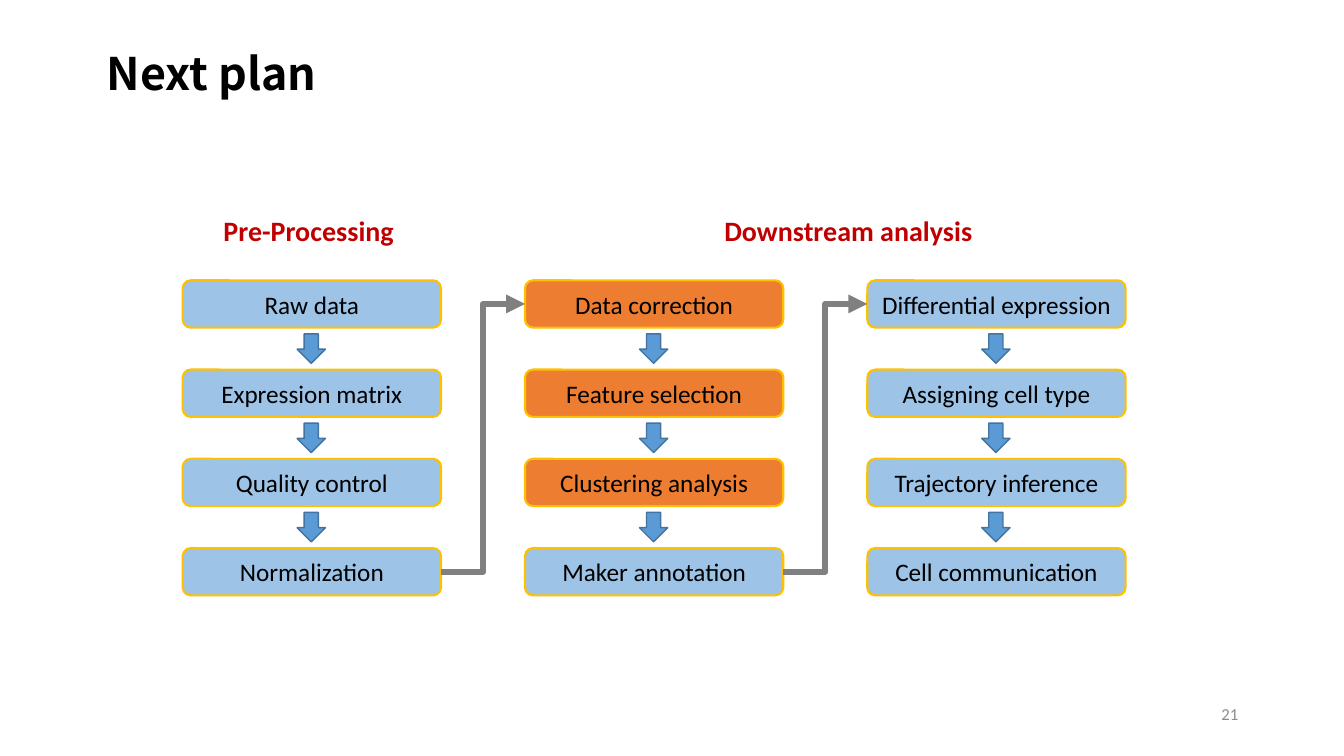
from lxml import etree
from pptx import Presentation
from pptx.dml.color import RGBColor
from pptx.enum.shapes import MSO_CONNECTOR, MSO_SHAPE
from pptx.enum.text import MSO_ANCHOR, MSO_AUTO_SIZE, PP_ALIGN
from pptx.oxml.ns import qn
from pptx.util import Pt

PX = 9525
BLACK = RGBColor(0x00, 0x00, 0x00)
GREY = RGBColor(0x80, 0x80, 0x80)
PALE_GREY = RGBColor(0x8C, 0x8C, 0x8C)
RED = RGBColor(0xC0, 0x00, 0x00)
LIGHT_BLUE = RGBColor(0x9D, 0xC3, 0xE6)
ORANGE = RGBColor(0xED, 0x7D, 0x31)
GOLD = RGBColor(0xFF, 0xC0, 0x00)
BLUE = RGBColor(0x5B, 0x9B, 0xD5)
DARK_BLUE = RGBColor(0x43, 0x73, 0x9E)

LEFT, TOP = 174, 267
COL_STEP, ROW_STEP = 326, 85
BOX_W, BOX_H = 246, 45
ARROW_W, ARROW_H = 27, 28
COLUMNS = [
    ["Raw data", "Expression matrix", "Quality control", "Normalization"],
    ["Data correction", "Feature selection", "Clustering analysis", "Maker annotation"],
    ["Differential expression", "Assigning cell type", "Trajectory inference", "Cell communication"],
]
HIGHLIGHTED = COLUMNS[1][:3]


def px(*lengths):
    return [n * PX for n in lengths]


def write(sp, text, size=18, color=BLACK, bold=False, font="Calibri", align=PP_ALIGN.CENTER):
    tf = sp.text_frame
    tf.word_wrap = True
    tf.auto_size = MSO_AUTO_SIZE.NONE
    tf.vertical_anchor = MSO_ANCHOR.MIDDLE
    p = tf.paragraphs[0]
    p.alignment = align
    r = p.add_run()
    r.text = text
    r.font.name = font
    r.font.size = Pt(size)
    r.font.bold = bold
    r.font.color.rgb = color


prs = Presentation()
prs.slide_width, prs.slide_height = px(1280, 720)
s = prs.slides.add_slide(prs.slide_layouts[5])

title = s.shapes.title
title.left, title.top, title.width, title.height = px(92, 39, 1096, 67)
write(title, "Next plan", size=32, bold=True, font="Noto Sans CJK SC", align=PP_ALIGN.LEFT)
title.text_frame.paragraphs[0].line_spacing = 0.9

number = s.shapes.add_textbox(*px(875, 661, 314, 38))
write(number, "21", size=12, color=PALE_GREY, align=PP_ALIGN.RIGHT)

for text, left, width in [("Pre-Processing", 171, 246), ("Downstream analysis", 668, 280)]:
    heading = s.shapes.add_textbox(*px(left, 199, width, 41))
    write(heading, text, size=20, color=RED, bold=True)

boxes = []
for col, steps in enumerate(COLUMNS):
    left = LEFT + col * COL_STEP
    column = []
    for row, text in enumerate(steps):
        top = TOP + row * ROW_STEP
        box = s.shapes.add_shape(MSO_SHAPE.ROUNDED_RECTANGLE, *px(left, top, BOX_W, BOX_H))
        box.shadow.inherit = False
        box.fill.solid()
        box.fill.fore_color.rgb = ORANGE if text in HIGHLIGHTED else LIGHT_BLUE
        box.line.color.rgb = GOLD
        box.line.width = Pt(1.5)
        write(box, text)
        column.append(box)
        if row < len(steps) - 1:
            arrow_left = left + (BOX_W - ARROW_W) // 2
            arrow_top = top + (ROW_STEP + BOX_H - ARROW_H) // 2
            arrow = s.shapes.add_shape(MSO_SHAPE.DOWN_ARROW, *px(arrow_left, arrow_top, ARROW_W, ARROW_H))
            arrow.shadow.inherit = False
            arrow.fill.solid()
            arrow.fill.fore_color.rgb = BLUE
            arrow.line.color.rgb = DARK_BLUE
            arrow.line.width = Pt(1)
    boxes.append(column)

for column, following in zip(boxes, boxes[1:]):
    link = s.shapes.add_connector(MSO_CONNECTOR.ELBOW, 0, 0, 0, 0)
    link.begin_connect(column[-1], 3)
    link.end_connect(following[0], 1)
    link.line.color.rgb = GREY
    link.line.width = Pt(4.5)
    etree.SubElement(link.line._get_or_add_ln(), qn("a:tailEnd"), type="triangle")
    etree.SubElement(link._element.spPr, qn("a:effectLst"))

prs.save("out.pptx")
